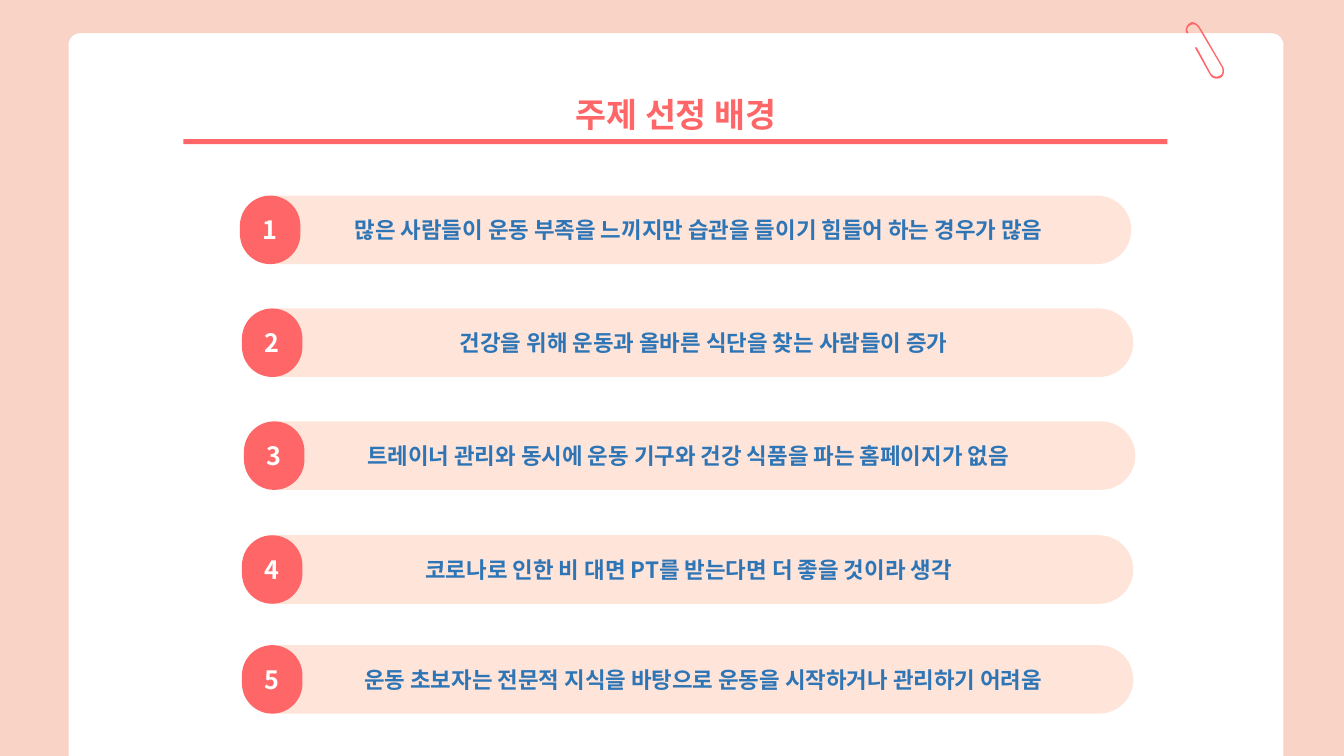
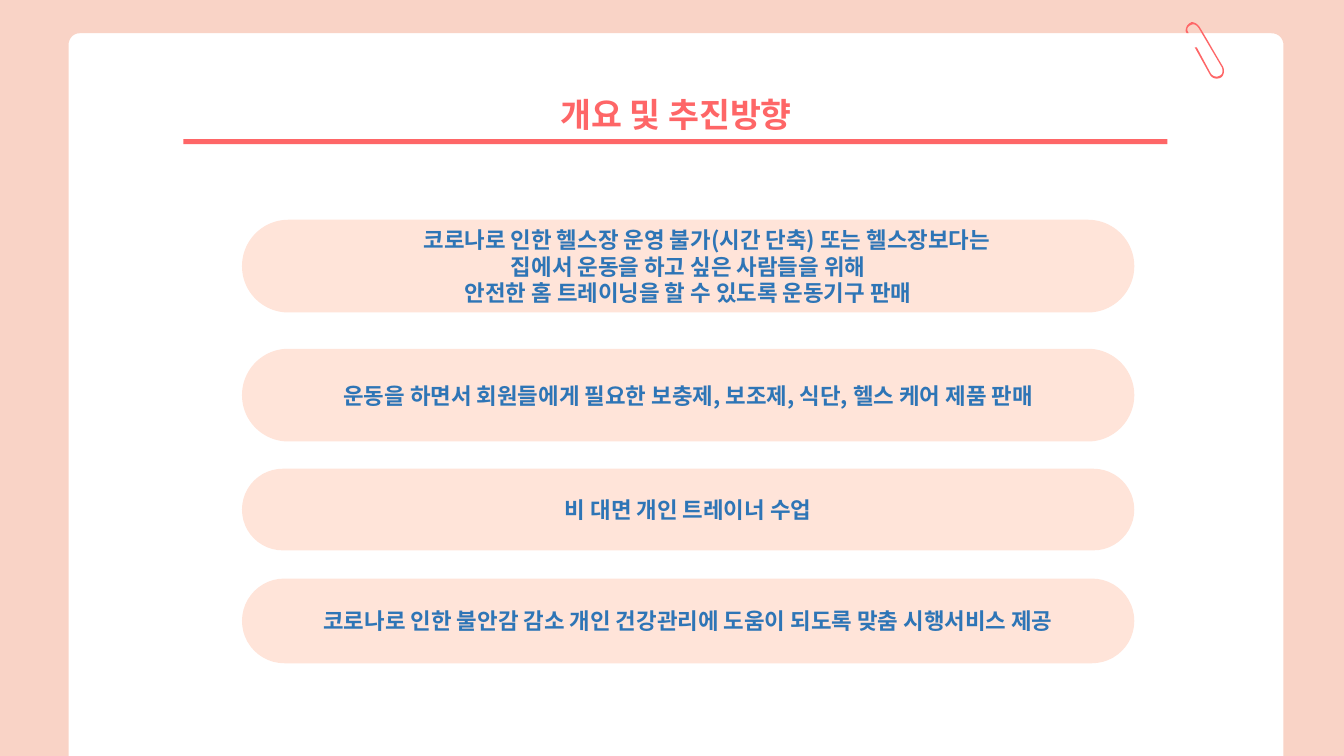
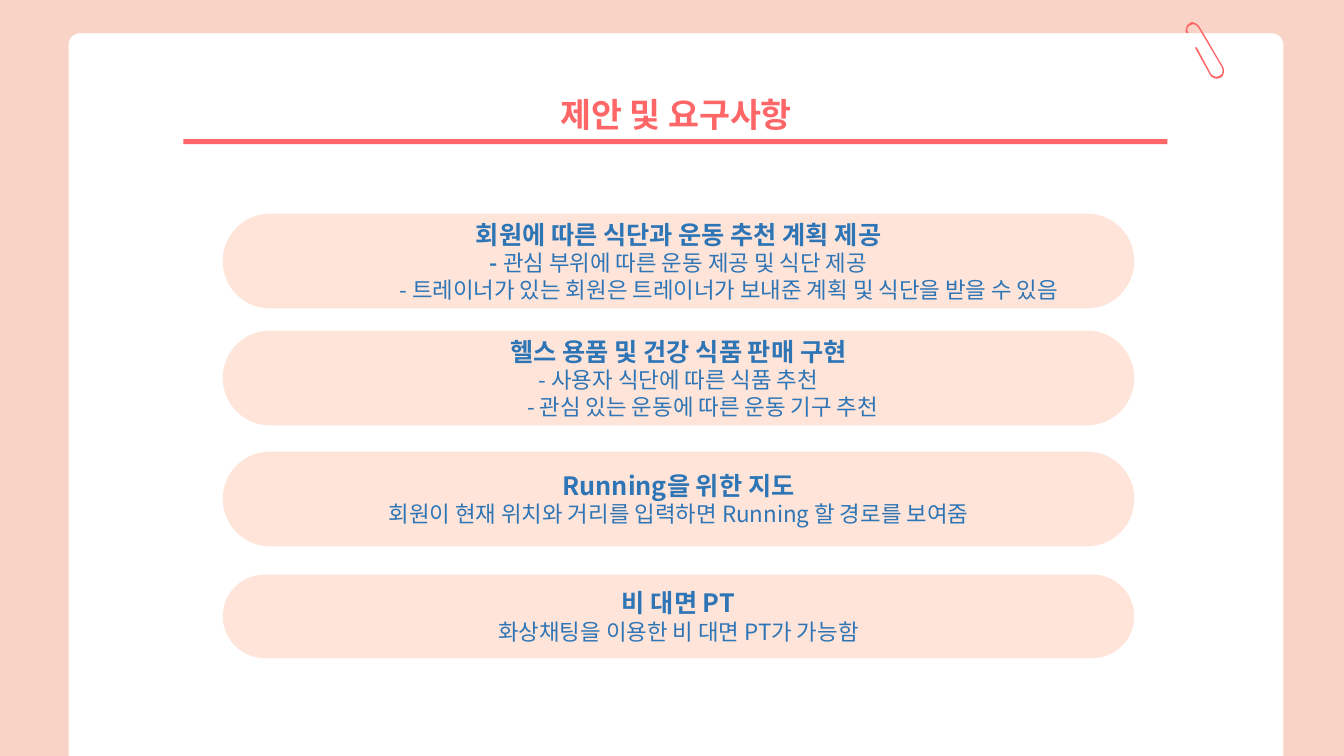
from dataclasses import dataclass

from lxml.etree import SubElement
from pptx import Presentation
from pptx.dml.color import RGBColor
from pptx.enum.shapes import MSO_SHAPE
from pptx.enum.text import MSO_ANCHOR, MSO_AUTO_SIZE, PP_ALIGN
from pptx.oxml.ns import qn
from pptx.util import Inches, Pt

# Shared look
FONT = "Noto Sans CJK KR"
CORAL, PEACH, FRAME, BLUE, WHITE = "FE6667", "FFE4D9", "F9D3C6", "2E75B6", "FFFFFF"
W, H = 13.33, 7.5

# Outlines: a pair is a corner, six numbers are a Bezier curve
FRAME_PATH = [
    (0, 0), (W, 0), (W, H), (12.73, H), (12.73, 0.45),
    (12.73, 0.38, 12.68, 0.33, 12.61, 0.33), (0.79, 0.33),
    (0.73, 0.33, 0.68, 0.38, 0.68, 0.45), (0.68, H), (0, H),
]
CLIP_PATH = [
    (11.82, 0.22), (11.85, 0.22, 11.88, 0.24, 11.9, 0.27),
    (11.98, 0.4, 12.05, 0.53, 12.13, 0.66), (12.15, 0.7, 12.14, 0.75, 12.11, 0.77),
    (12.07, 0.79, 12.02, 0.78, 12, 0.74), (11.85, 0.47), (11.87, 0.47), (12.01, 0.73),
    (12.03, 0.76, 12.07, 0.77, 12.1, 0.75), (12.13, 0.74, 12.13, 0.7, 12.12, 0.67),
    (11.89, 0.28), (11.87, 0.25, 11.84, 0.23, 11.81, 0.25),
    (11.78, 0.26, 11.77, 0.29, 11.78, 0.31), (11.79, 0.33), (11.77, 0.33), (11.76, 0.31),
    (11.76, 0.28, 11.77, 0.25, 11.8, 0.23), (11.81, 0.23, 11.81, 0.22, 11.82, 0.22),
]


@dataclass
class Line:
    text: str
    size: int = 16
    bold: bool = False
    indent: float = 0
    lead: str = ""  # bold opening of the line


@dataclass
class Bar:
    left: float
    top: float
    width: float
    height: float
    lines: list[Line]


def rgb(color: str) -> RGBColor:
    return RGBColor.from_string(color)


def paint(sp, color: str):
    sp.shadow.inherit = False
    sp.fill.solid()
    sp.fill.fore_color.rgb = rgb(color)
    sp.line.fill.background()
    return sp


def add_run(p, text: str, *, size: int, color: str, bold: bool = False) -> None:
    r = p.add_run()
    r.text = text
    r.font.size, r.font.bold, r.font.name = Pt(size), bold, FONT
    r.font.color.rgb = rgb(color)
    SubElement(r._r.get_or_add_rPr(), qn("a:ea")).set("typeface", FONT)


def add_block(s, kind, left: float, top: float, width: float, height: float, color: str):
    box = (Inches(v) for v in (left, top, width, height))
    return paint(s.shapes.add_shape(kind, *box), color)


def add_outline(s, parts: list[tuple], color: str, steps: int = 8) -> None:
    pts = [parts[0]]
    for part in parts[1:]:
        if len(part) == 2:
            pts.append(part)
            continue
        x0, y0 = pts[-1]
        x1, y1, x2, y2, x3, y3 = part
        for i in range(1, steps + 1):
            t = i / steps
            a, b, c, d = (1 - t) ** 3, 3 * t * (1 - t) ** 2, 3 * t * t * (1 - t), t ** 3
            pts.append((a * x0 + b * x1 + c * x2 + d * x3, a * y0 + b * y1 + c * y2 + d * y3))
    pts = [(Inches(x), Inches(y)) for x, y in pts]
    builder = s.shapes.build_freeform(*pts[0], scale=1.0)
    builder.add_line_segments(pts[1:], close=True)
    paint(builder.convert_to_shape(), color)


def add_pill(s, left: float, top: float, width: float, height: float,
             color: str, lines: list[Line], text_color: str) -> None:
    sp = add_block(s, MSO_SHAPE.ROUNDED_RECTANGLE, left, top, width, height, color)
    sp.adjustments[0] = 0.5
    tf = sp.text_frame
    tf.word_wrap = True
    tf.vertical_anchor = MSO_ANCHOR.MIDDLE
    for i, line in enumerate(lines):
        p = tf.add_paragraph() if i else tf.paragraphs[0]
        p.alignment = PP_ALIGN.CENTER
        if line.indent:
            p._p.get_or_add_pPr().set("marL", str(Inches(line.indent)))
        if line.lead:
            add_run(p, line.lead, size=line.size, color=text_color, bold=True)
        add_run(p, line.text, size=line.size, color=text_color, bold=line.bold)


def add_bars(s, bars: list[Bar]) -> None:
    for b in bars:
        add_pill(s, b.left, b.top, b.width, b.height, PEACH, b.lines, BLUE)


def add_page(prs, title: str):
    s = prs.slides.add_slide(prs.slide_layouts[6])
    s.background.fill.solid()
    s.background.fill.fore_color.rgb = rgb(WHITE)
    add_outline(s, FRAME_PATH, FRAME)
    add_outline(s, CLIP_PATH, CORAL)
    add_block(s, MSO_SHAPE.RECTANGLE, 1.82, 1.38, 9.76, 0.05, CORAL)
    tf = s.shapes.add_textbox(Inches(3.37), Inches(0.68), Inches(6.67), Inches(0.63)).text_frame
    tf.word_wrap = True
    tf.auto_size = MSO_AUTO_SIZE.SHAPE_TO_FIT_TEXT
    p = tf.paragraphs[0]
    p.alignment, p.line_spacing = PP_ALIGN.CENTER, 1.5
    add_run(p, title, size=24, color=CORAL, bold=True)
    return s


def strong(text: str, size: int = 16, indent: float = 0) -> Line:
    return Line(text, size, True, indent)


# Slide 1: numbered reasons
REASONS = [
    Bar(2.4, 1.94, 8.82, 0.68, [
        strong("많은 사람들이 운동 부족을 느끼지만 습관을 들이기 힘들어 하는 경우가 많음", indent=0.24)]),
    Bar(2.42, 3.06, 8.82, 0.68, [
        strong("건강을 위해 운동과 올바른 식단을 찾는 사람들이 증가", indent=0.3)]),
    Bar(2.44, 4.18, 8.82, 0.68, [
        strong("트레이너 관리와 동시에 운동 기구와 건강 식품을 파는 홈페이지가 없음 ")]),
    Bar(2.42, 5.31, 8.82, 0.68, [
        strong("코로나로 인한 비 대면 PT를 받는다면 더 좋을 것이라 생각")]),
    Bar(2.42, 6.4, 8.82, 0.68, [
        strong("운동 초보자는 전문적 지식을 바탕으로 운동을 시작하거나 관리하기 어려움", indent=0.29)]),
]

# Slide 2: directions
DIRECTIONS = [
    Bar(2.4, 2.18, 8.85, 0.92, [
        strong("코로나로 인한 헬스장 운영 불가(시간 단축) 또는 헬스장보다는", indent=0.37),
        strong("집에서 운동을 하고 싶은 사람들을 위해"),
        strong("안전한 홈 트레이닝을 할 수 있도록 운동기구 판매")]),
    Bar(2.4, 3.46, 8.85, 0.92, [
        strong("운동을 하면서 회원들에게 필요한 보충제, 보조제, 식단, 헬스 케어 제품 판매")]),
    Bar(2.4, 4.65, 8.85, 0.81, [strong("비 대면 개인 트레이너 수업")]),
    Bar(2.4, 5.74, 8.85, 0.84, [
        strong("코로나로 인한 불안감 감소 개인 건강관리에 도움이 되도록 맞춤 시행서비스 제공")]),
]

# Slide 3: requirements
REQUIREMENTS = [
    Bar(2.21, 2.12, 9.04, 0.94, [
        strong("회원에 따른 식단과 운동 추천 계획 제공", 18),
        Line("관심 부위에 따른 운동 제공 및 식단 제공", lead="- "),
        Line("- 트레이너가 있는 회원은 트레이너가 보내준 계획 및 식단을 받을 수 있음", indent=1)]),
    Bar(2.21, 3.28, 9.04, 0.94, [
        strong("헬스 용품 및 건강 식품 판매 구현", 18),
        Line("- 사용자 식단에 따른 식품 추천"),
        Line("- 관심 있는 운동에 따른 운동 기구 추천", indent=0.48)]),
    Bar(2.21, 4.48, 9.04, 0.94, [
        strong("Running을 위한 지도", 18),
        Line("회원이 현재 위치와 거리를 입력하면 Running 할 경로를 보여줌")]),
    Bar(2.21, 5.7, 9.04, 0.83, [
        strong("비 대면 PT", 18),
        Line("화상채팅을 이용한 비 대면 PT가 가능함")]),
]


def main() -> None:
    prs = Presentation()
    prs.slide_width, prs.slide_height = Inches(W), Inches(H)

    s = add_page(prs, "주제 선정 배경")
    add_bars(s, REASONS)
    for n, bar in enumerate(REASONS, 1):
        add_pill(s, bar.left - 0.02, bar.top, 0.6, bar.height, CORAL, [strong(str(n), 18)], WHITE)

    add_bars(add_page(prs, "개요 및 추진방향"), DIRECTIONS)
    add_bars(add_page(prs, "제안 및 요구사항"), REQUIREMENTS)
    prs.save("out.pptx")


if __name__ == "__main__":
    main()
